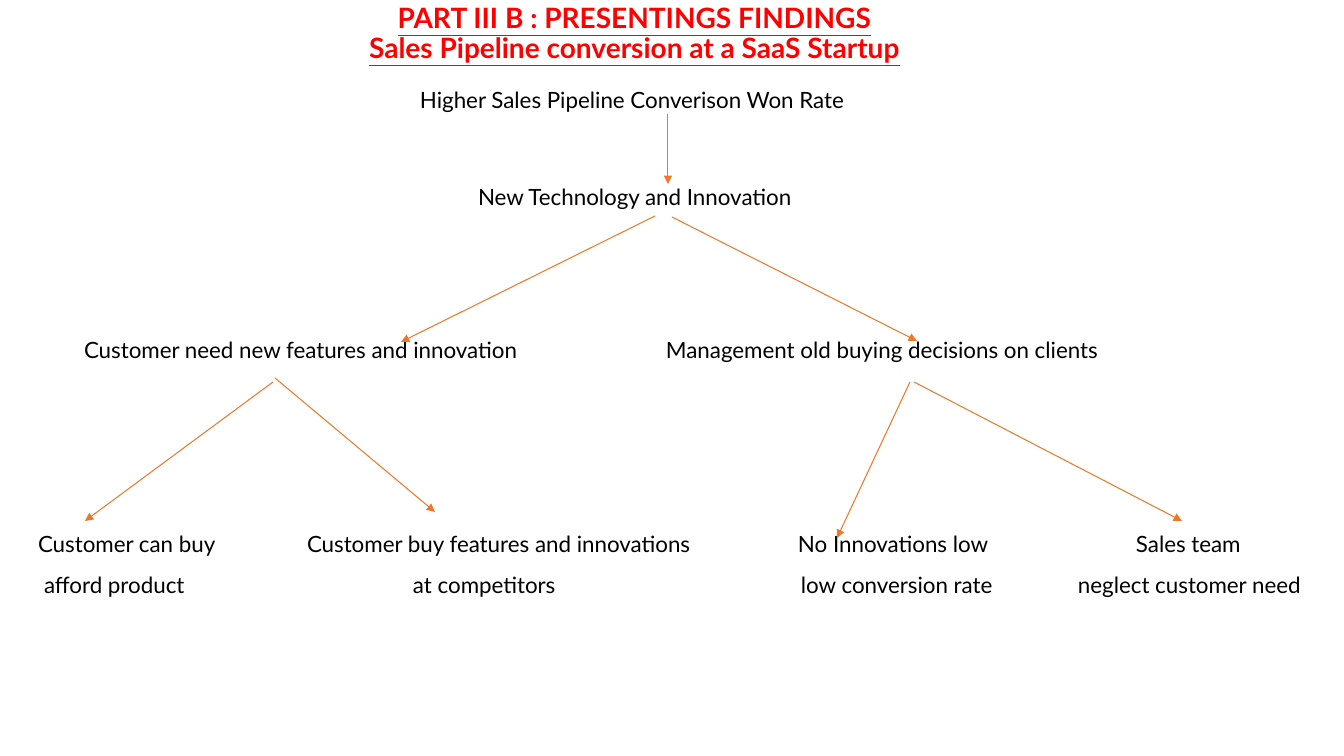
import pptx
import pptx.dml.color
import pptx.enum.shapes
import pptx.enum.text
import pptx.oxml.ns
import pptx.util
from lxml import etree

RED = pptx.dml.color.RGBColor(0xFF, 0x00, 0x00)
BLACK = pptx.dml.color.RGBColor(0x00, 0x00, 0x00)
ORANGE = pptx.dml.color.RGBColor(0xEC, 0x79, 0x2B)

SLIDE_SIZE = (1344, 756)
HEADING = ["PART III B : PRESENTINGS FINDINGS", "Sales Pipeline conversion at a SaaS Startup"]
HEADING_BOX = (334, 4, 601, 62)

# Each row of the tree: top, then its nodes as lines of (text, left, right)
TREE = [
    (86, [[("Higher Sales Pipeline Converison Won Rate", 420, 843)]]),
    (183, [[("New Technology and Innovation", 478, 791)]]),
    (336, [
        [("Customer need new features and innovation", 84, 517)],
        [("Management old buying decisions on clients", 666, 1097)],
    ]),
    (530, [
        [("Customer can buy", 38, 215), ("afford product", 44, 184)],
        [("Customer buy features and innovations", 307, 690), ("at competitors", 413, 555)],
        [("No Innovations low", 798, 988), ("low conversion rate", 801, 992)],
        [("Sales team", 1136, 1241), ("neglect customer need", 1078, 1300)],
    ]),
]
ARROWS = [
    (668, 114, 668, 184),
    (655, 216, 401, 342),
    (672, 217, 917, 341),
    (273, 382, 85, 521),
    (275, 378, 435, 512),
    (910, 382, 837, 538),
    (914, 382, 1182, 521),
]

HEADING_FONT = {"name": "Lato", "size": pptx.util.Pt(20), "bold": True, "underline": True}
NODE_FONT = {"name": "Lato", "size": pptx.util.Pt(16), "bold": False}
LINE_HEIGHT, LINE_PITCH, SLACK = 27, 41, 12


def px(length):
    return round(length * 914400 / 100.8)


def add_lines(slide, box, lines, font, colour, **paragraph_format):
    """Add a text box without insets, one paragraph for each (text, indent)."""
    frame = slide.shapes.add_textbox(*map(px, box)).text_frame
    frame.word_wrap = True
    for side in ("left", "top", "right", "bottom"):
        setattr(frame, f"margin_{side}", 0)
    for number, (text, indent) in enumerate(lines):
        paragraph = frame.add_paragraph() if number else frame.paragraphs[0]
        for key, value in paragraph_format.items():
            setattr(paragraph, key, value)
        if number == 0:
            paragraph.space_before = pptx.util.Pt(0)
        if indent:
            paragraph._p.get_or_add_pPr().set("marL", str(px(indent)))
        run = paragraph.add_run()
        run.text = text
        for key, value in font.items():
            setattr(run.font, key, value)
        run.font.color.rgb = colour


def add_node(slide, top, lines):
    left = min(start for _, start, _ in lines)
    right = max(end for _, _, end in lines)
    height = LINE_HEIGHT + LINE_PITCH * (len(lines) - 1)
    add_lines(slide, (left, top, right - left + SLACK, height),
              [(text, start - left) for text, start, _ in lines],
              NODE_FONT, BLACK, alignment=pptx.enum.text.PP_ALIGN.LEFT,
              space_before=pptx.util.Pt(10))


def add_arrow(slide, ends):
    arrow = slide.shapes.add_connector(pptx.enum.shapes.MSO_CONNECTOR.STRAIGHT, *map(px, ends))
    arrow.line.color.rgb = ORANGE
    arrow.line.width = pptx.util.Pt(0.75)
    qn = pptx.oxml.ns.qn
    etree.SubElement(arrow.line._get_or_add_ln(), qn("a:tailEnd")).set("type", "triangle")
    etree.SubElement(arrow._element.spPr, qn("a:effectLst"))


def main():
    deck = pptx.Presentation()
    deck.slide_width, deck.slide_height = map(px, SLIDE_SIZE)
    slide = deck.slides.add_slide(deck.slide_layouts[6])
    add_lines(slide, HEADING_BOX, [(text, 0) for text in HEADING], HEADING_FONT, RED,
              alignment=pptx.enum.text.PP_ALIGN.CENTER, line_spacing=0.9)
    for top, nodes in TREE:
        for lines in nodes:
            add_node(slide, top, lines)
    for ends in ARROWS:
        add_arrow(slide, ends)
    deck.save("out.pptx")


if __name__ == "__main__":
    main()
